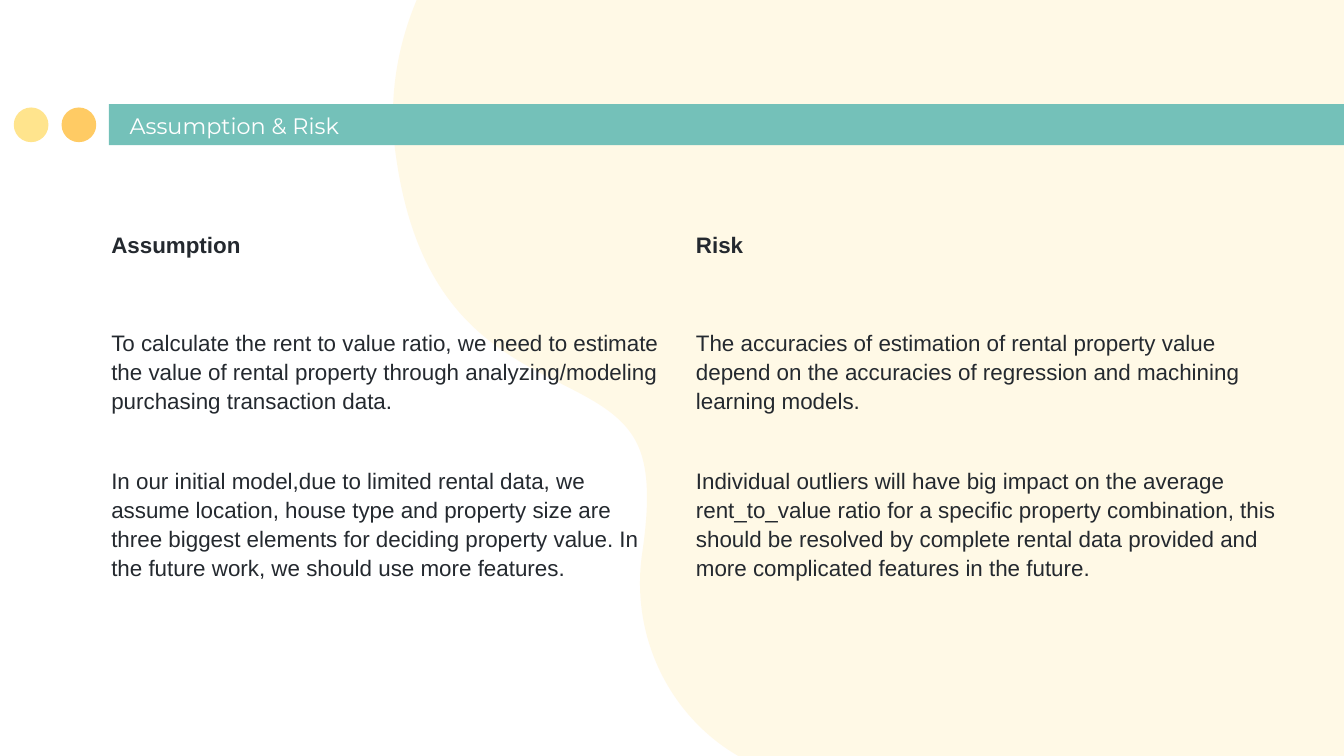
import pptx
import pptx.util
import pptx.dml.color
import pptx.enum.shapes
import pptx.enum.text
import pptx.oxml
import pptx.oxml.ns

Pt = pptx.util.Pt
qn = pptx.oxml.ns.qn
SHAPE = pptx.enum.shapes.MSO_SHAPE

COLORS = {
    "teal": "74C1B9",
    "orange": "FFCB64",
    "yellow": "FFE48D",
    "white": "FFFFFF",
    "ink": "24292F",
}
NO_STYLE_NO_GRID = "{2D5ABB26-0587-4C30-8999-92F81FD0307C}"

# Blob outline: each entry is two control points and an end point,
# or a single end point for a straight side
BLOB_START = (236.2, -25.2)
BLOB = [
    [(216.7, 6.5), (205.9, 44.6), (212.4, 85.7)],
    [(231.8, 217.4), (329.8, 191.5), (344.2, 245.5)],
    [(347.8, 258.5), (347, 275.8), (344.2, 295.2)],
    [(334.1, 360), (382.3, 418.3), (445, 418.3)],
    [(446.4, 418.3), (447.1, 418.3), (448.6, 418.3)],
    [(466.6, 417.6), (484.6, 416.9), (501.1, 416.9)],
    [(523.4, 416.9), (543.6, 417.6), (560.9, 419)],
    [(621.4, 424.8), (599.8, 522), (715, 553)],
    [(725.8, 553)],
    [(735.1, 553), (742.3, 545), (742.3, 535.7)],
    [(742.3, -8.6)],
    [(742.3, -15.8), (737.3, -23), (730.8, -25.2)],
]

ROWS = [
    ("Assumption", "Risk"),
    ("To calculate the rent to value ratio, we need to estimate the value of "
     "rental property through analyzing/modeling purchasing transaction data.",
     "The accuracies of estimation of rental property value depend on the "
     "accuracies of regression and machining learning models."),
    ("In our initial model,due to limited rental data, we assume location, "
     "house type and property size are three biggest elements for deciding "
     "property value. In the future work, we should use more features.",
     "Individual outliers will have big impact on the average rent_to_value "
     "ratio for a specific property combination, this should be resolved by "
     "complete rental data provided and more complicated features in the future."),
]


def rgb(name):
    return pptx.dml.color.RGBColor.from_string(COLORS[name])


def paint(sp, color):
    sp.shadow.inherit = False
    sp.fill.solid()
    sp.fill.fore_color.rgb = rgb(color)
    sp.line.fill.background()


def style_text(p, font, color, bold=False):
    for r in p.runs:
        r.font.name = font
        r.font.size = Pt(12)
        r.font.bold = bold
        r.font.color.rgb = rgb(color)


def add_blob(s):
    builder = s.shapes.build_freeform(*(Pt(v) for v in BLOB_START))
    builder.add_line_segments([(Pt(x), Pt(y)) for part in BLOB for x, y in part])
    sp = builder.convert_to_shape()
    paint(sp, "yellow")
    # Turn each run of three line points into one Bezier curve
    lines = iter(list(sp._element.iter(qn("a:lnTo"))))
    for part in BLOB:
        first, *rest = [next(lines) for _ in part]
        if rest:
            first.tag = qn("a:cubicBezTo")
        for line in rest:
            first.append(line[0])
            line.getparent().remove(line)
    # 21% opacity
    sp._element.spPr.find(".//" + qn("a:srgbClr")).append(pptx.oxml.parse_xml(
        '<a:alpha %s val="21000"/>' % pptx.oxml.ns.nsdecls("a")))


def add_shape(s, kind, x, y, w, h, color):
    paint(s.shapes.add_shape(kind, Pt(x), Pt(y), Pt(w), Pt(h)), color)


def add_title(s, text):
    tf = s.shapes.add_textbox(Pt(62.4), Pt(57.2), Pt(394.6), Pt(24.5)).text_frame
    tf.word_wrap = True
    tf.vertical_anchor = pptx.enum.text.MSO_ANCHOR.BOTTOM
    tf.margin_left = tf.margin_right = tf.margin_top = tf.margin_bottom = Pt(7.2)
    tf.text = text
    style_text(tf.paragraphs[0], "Montserrat", "white")


def add_text_table(s, x, y, widths, heights):
    frame = s.shapes.add_table(len(heights), len(widths), Pt(x), Pt(y),
                               Pt(sum(widths)), Pt(sum(heights)))
    tbl = frame.table
    tbl.first_row = tbl.horz_banding = False
    frame._element.find(".//" + qn("a:tableStyleId")).text = NO_STYLE_NO_GRID
    for col, width in zip(tbl.columns, widths):
        col.width = Pt(width)
    for i, (height, texts) in enumerate(zip(heights, ROWS)):
        tbl.rows[i].height = Pt(height)
        for j, text in enumerate(texts):
            cell = tbl.cell(i, j)
            cell.fill.background()
            cell.margin_left = cell.margin_right = Pt(9.75)
            cell.margin_top = cell.margin_bottom = Pt(4.5)
            p = cell.text_frame.paragraphs[0]
            p.text = text
            p.line_spacing = 1.15
            p.space_after = Pt(24)
            style_text(p, "Arial", "ink", bold=i == 0)


def main():
    prs = pptx.Presentation()
    prs.slide_width, prs.slide_height = Pt(720), Pt(405)
    s = prs.slides.add_slide(prs.slide_layouts[6])

    # Background and title band
    add_blob(s)
    add_shape(s, SHAPE.RECTANGLE, 58.4, 55.8, 684, 22, "teal")
    for x, color in ((33, "orange"), (7.4, "yellow")):
        add_shape(s, SHAPE.OVAL, x, 57.6, 18.6, 18.6, color)
    add_title(s, "Assumption & Risk")

    # Two-column comparison
    add_text_table(s, 49.9, 118.5, (313.2, 332), (52.4, 74, 89.3))

    prs.save("out.pptx")


if __name__ == "__main__":
    main()
